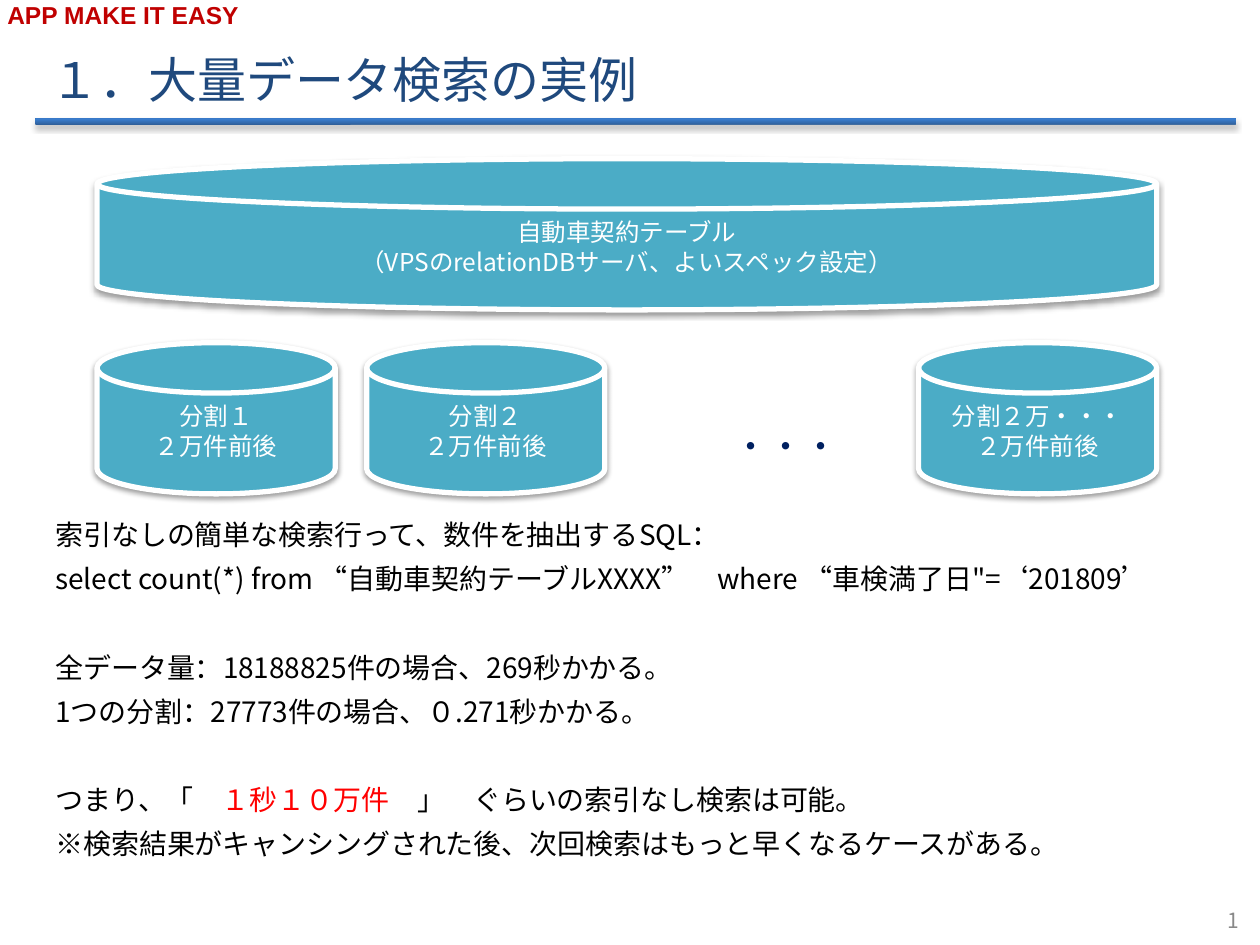
from lxml import etree
from pptx import Presentation
from pptx.dml.color import RGBColor
from pptx.enum.shapes import MSO_SHAPE
from pptx.enum.text import MSO_ANCHOR, MSO_AUTO_SIZE, PP_ALIGN
from pptx.oxml.ns import qn
from pptx.util import Inches, Pt

DISK = MSO_SHAPE.FLOWCHART_MAGNETIC_DISK
ROUNDED = MSO_SHAPE.ROUNDED_RECTANGLE
TOP, MIDDLE = MSO_ANCHOR.TOP, MSO_ANCHOR.MIDDLE
LEFT, CENTER, RIGHT = PP_ALIGN.LEFT, PP_ALIGN.CENTER, PP_ALIGN.RIGHT
NO_AUTOFIT = MSO_AUTO_SIZE.NONE

FONT, BANNER_FONT = "Noto Sans CJK JP", "Arial"
COLORS = {
    "title": "1F497D", "banner": "C00000", "body": "000000", "accent": "FF0000",
    "number": "898989", "dots": "002060", "disk": "4BACC6", "white": "FFFFFF",
    "rule_dark": "2F5F99", "rule_light": "3A7CCB", "shadow": "000000",
}


def rgb(key):
    return RGBColor.from_string(COLORS[key])


class SlideBuilder:
    def __init__(self, slide):
        self.slide = slide

    def place(self, shape, box):
        shape.left, shape.top, shape.width, shape.height = map(Inches, box)

    def add_run(self, paragraph, text, size, color, font=FONT, bold=False):
        run = paragraph.add_run()
        run.text = text
        run.font.size, run.font.bold, run.font.name = Pt(size), bold, font
        run.font.color.rgb = rgb(color)
        east_asian = etree.SubElement(run.font._element, qn("a:ea"))
        east_asian.set("typeface", font)

    def set_lines(self, shape, lines, size, color, align=LEFT, anchor=TOP, after=0, **style):
        """Fill a shape; each line is a list of texts or (text, color) pairs."""
        frame = shape.text_frame
        frame.word_wrap, frame.auto_size = True, NO_AUTOFIT
        frame.vertical_anchor = anchor
        for index, line in enumerate(lines):
            paragraph = frame.add_paragraph() if index else frame.paragraphs[0]
            paragraph.alignment = align
            paragraph.space_before, paragraph.space_after = Pt(0), Pt(after)
            for part in line:
                text, part_color = (part, color) if isinstance(part, str) else part
                self.add_run(paragraph, text, size, part_color, **style)
        return frame.paragraphs

    def text(self, box, words, size, color, **style):
        label = self.slide.shapes.add_textbox(*map(Inches, box))
        self.set_lines(label, [[words]], size, color, **style)

    def title(self, box, words):
        title = self.slide.shapes.title
        self.place(title, box)
        heading = self.set_lines(title, [[words]], 28, "title", anchor=MIDDLE)[0]
        heading.line_spacing = 1.1

    def body(self, box, lines, group_starts):
        """Set unbulleted lines with a one-line gap before each group start."""
        body = self.slide.placeholders[1]
        self.place(body, box)
        for index, paragraph in enumerate(self.set_lines(body, lines, 16, "body", after=6)):
            if index in group_starts:
                paragraph.space_before = Pt(25.3)
            properties = paragraph._p.get_or_add_pPr()
            properties.set("marL", "0")
            properties.set("indent", "0")
            etree.SubElement(properties, qn("a:buNone"))

    def add_shadow(self, shape, opacity, blur, distance):
        shape.shadow.inherit = False
        effects = shape._element.spPr.find(qn("a:effectLst"))
        shadow = etree.SubElement(
            effects, qn("a:outerShdw"), blurRad=str(Pt(blur)), dist=str(Pt(distance)),
            dir="5400000", rotWithShape="0")
        color = etree.SubElement(shadow, qn("a:srgbClr"), val=COLORS["shadow"])
        etree.SubElement(color, qn("a:alpha"), val=str(opacity * 1000))

    def rule(self, box):
        bar = self.slide.shapes.add_shape(ROUNDED, *map(Inches, box))
        bar.line.fill.background()
        bar.fill.gradient()
        bar.fill.gradient_angle = 90
        dark, light = bar.fill.gradient_stops
        dark.color.rgb, light.color.rgb = rgb("rule_dark"), rgb("rule_light")
        dark.position, light.position = 0, 0.8
        self.add_shadow(bar, 35, 3.1, 1.8)

    def disk(self, left, top, width, lines):
        disk = self.slide.shapes.add_shape(
            DISK, *map(Inches, (left, top, width, 1.2)))
        disk.fill.solid()
        disk.fill.fore_color.rgb = rgb("disk")
        disk.line.color.rgb = rgb("white")
        disk.line.width = Pt(3)
        self.add_shadow(disk, 38, 3.1, 1.6)
        self.set_lines(disk, [[line] for line in lines], 14, "white",
                       align=CENTER, anchor=MIDDLE)


def main():
    deck = Presentation()
    deck.slide_width, deck.slide_height = Inches(10), Inches(7.5)
    builder = SlideBuilder(deck.slides.add_slide(deck.slide_layouts[1]))

    builder.rule((0.28, 0.94, 9.53, 0.05))
    builder.text((-0.04, -0.05, 3.54, 0.34), "APP MAKE IT EASY", 14, "banner",
                 font=BANNER_FONT, bold=True)
    builder.title((0.3, 0.3, 9, 0.61), "１．大量データ検索の実例")
    builder.text((7.6, 7.1, 2.33, 0.4), "1", 12, "number", align=RIGHT, anchor=MIDDLE)

    partitions = {0.77: "分割１", 2.91: "分割２", 7.29: "分割２万・・・"}
    for left, name in partitions.items():
        builder.disk(left, 2.72, 1.89, [name, "２万件前後"])
    builder.text((5.62, 3.32, 1.24, 0.44), "・・・", 20, "dots", align=CENTER)
    builder.disk(0.77, 1.26, 8.41, [
        "自動車契約テーブル", "（VPSのrelationDBサーバ、よいスペック設定）"])

    builder.body((0.34, 4.06, 9.38, 2.84), [
        ["索引なしの簡単な検索行って、数件を抽出するSQL："],
        ["select count(*) from “自動車契約テーブルXXXX”　where “車検満了日\"=‘201809’"],
        ["全データ量：18188825件の場合、269秒かかる。"],
        ["1つの分割：27773件の場合、０.271秒かかる。"],
        ["つまり、「", ("　１秒１０万件　", "accent"), "」　ぐらいの索引なし検索は可能。"],
        ["※検索結果がキャンシングされた後、次回検索はもっと早くなるケースがある。"],
    ], group_starts=(2, 4))
    deck.save("out.pptx")


if __name__ == "__main__":
    main()
